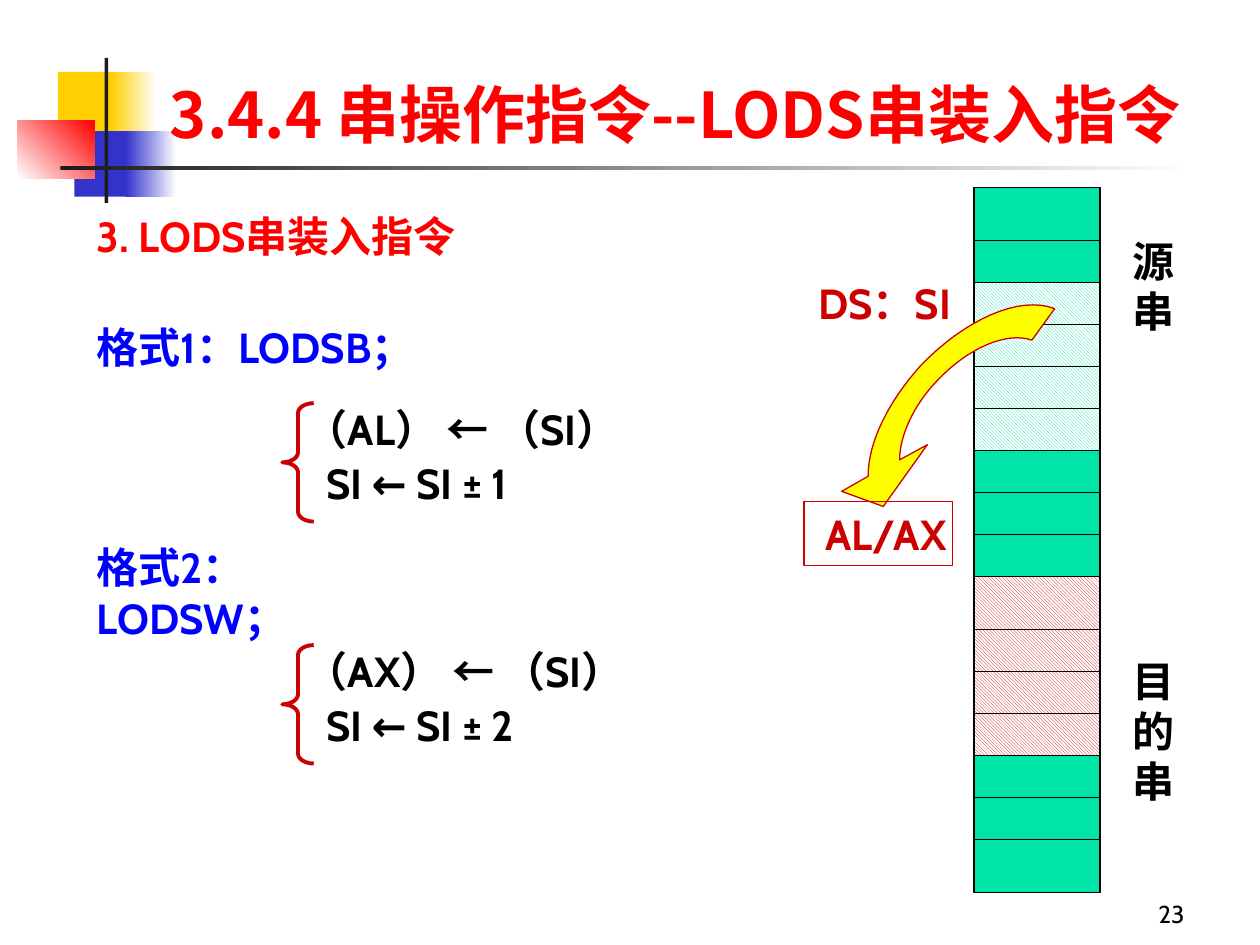
from dataclasses import dataclass
from itertools import accumulate

from lxml import etree
from pptx import Presentation
from pptx.dml.color import RGBColor
from pptx.enum.dml import MSO_PATTERN
from pptx.enum.shapes import MSO_CONNECTOR, MSO_SHAPE
from pptx.enum.text import MSO_ANCHOR, PP_ALIGN
from pptx.oxml.ns import qn
from pptx.util import Inches, Pt

RECTANGLE = MSO_SHAPE.RECTANGLE
LEFT_BRACE = MSO_SHAPE.LEFT_BRACE
STRAIGHT = MSO_CONNECTOR.STRAIGHT
HATCH = MSO_PATTERN.LIGHT_DOWNWARD_DIAGONAL
LEFT, CENTER, RIGHT = PP_ALIGN.LEFT, PP_ALIGN.CENTER, PP_ALIGN.RIGHT
TOP, BOTTOM = MSO_ANCHOR.TOP, MSO_ANCHOR.BOTTOM


@dataclass(frozen=True)
class Theme:
    latin: str = "Cabin"
    asian: str = "Noto Sans CJK JP"
    title_size: float = 36
    body_size: float = 24
    number_size: float = 14
    thin: float = 0.75
    thick: float = 2.25
    red: str = "FF0000"
    dark_red: str = "CC0000"
    blue: str = "0000FF"
    navy: str = "3333CC"
    gold: str = "FFCF01"
    yellow: str = "FFFF00"
    green: str = "00E4A8"
    ink: str = "1C1C1C"
    black: str = "000000"
    white: str = "FFFFFF"


THEME = Theme()


def rgb(color):
    return RGBColor.from_string(color)


def style(shape, fill=None, line=None, width=THEME.thin):
    """Solid fill and outline; None means no paint."""
    shape.shadow.inherit = False
    if fill:
        shape.fill.solid()
        shape.fill.fore_color.rgb = rgb(fill)
    else:
        shape.fill.background()
    if line:
        shape.line.color.rgb = rgb(line)
        shape.line.width = Pt(width)
    else:
        shape.line.fill.background()


def add_block(page, box, fill=None, line=None, width=THEME.thin, kind=RECTANGLE):
    shape = page.shapes.add_shape(kind, *map(Inches, box))
    style(shape, fill, line, width)
    return shape


def add_fade(page, box, start, end, angle=0):
    shape = add_block(page, box)
    shape.fill.gradient()
    shape.fill.gradient_angle = angle
    for stop, color in zip(shape.fill.gradient_stops, (start, end)):
        stop.color.rgb = rgb(color)


def add_hatch(page, box, color):
    shape = add_block(page, box, line=THEME.black)
    shape.fill.patterned()
    shape.fill.pattern = HATCH
    shape.fill.fore_color.rgb = rgb(color)
    shape.fill.back_color.rgb = rgb(THEME.white)


def add_text(page, box, lines, color, size=THEME.body_size, bold=True, align=LEFT,
             anchor=TOP, latin=THEME.latin, indents=(0,), wrap=True):
    frame = page.shapes.add_textbox(*map(Inches, box)).text_frame
    frame.word_wrap = wrap
    frame.vertical_anchor = anchor
    font_format = {"size": Pt(size), "bold": bold, "name": latin}
    for index, (line, indent) in enumerate(zip(lines, indents)):
        para = frame.add_paragraph() if index else frame.paragraphs[0]
        para.alignment = align
        if index:
            para.space_before = Pt(2.4)
        if indent:
            para._p.get_or_add_pPr().set("marL", str(Inches(indent)))
        span = para.add_run()
        span.text = line
        for name, value in font_format.items():
            setattr(span.font, name, value)
        span.font.color.rgb = rgb(color)
        asian = etree.SubElement(span._r.get_or_add_rPr(), qn("a:ea"))
        asian.set("typeface", THEME.asian)


def add_ornament(page, left, top):
    """Overlapping squares with the cross of rules."""
    add_block(page, (left + 0.32, top + 0.11, 0.48, 0.52), THEME.gold)
    add_fade(page, (left + 0.74, top + 0.11, 0.36, 0.52), THEME.gold, THEME.white)
    add_block(page, (left + 0.45, top + 0.58, 0.46, 0.52), THEME.navy)
    add_fade(page, (left + 0.86, top + 0.58, 0.4, 0.52), THEME.navy, THEME.white)
    add_fade(page, (left, top + 0.5, 0.61, 0.46), THEME.white, THEME.red, 45)
    add_block(page, (left + 0.69, top, 0.03, 1.15), THEME.ink)
    add_fade(page, (left + 0.34, top + 0.86, 9, 0.03), THEME.ink, THEME.white)


def add_operation(page, left, top, lines):
    """Two steps held by a brace."""
    add_text(page, (left + 0.09, top - 0.05, 3.2, 0.95), lines, THEME.black,
             indents=(0, 0.16))
    brace = add_block(page, (left, top, 0.25, 0.94), line=THEME.dark_red,
                      width=THEME.thick, kind=LEFT_BRACE)
    brace.adjustments[0] = 0.312


def add_memory(page, left, top, width):
    """Column of memory cells with its source and target strings."""
    tall, short = 0.42, 1 / 3
    heights = [tall if row in (0, 9, 15) else short for row in range(16)]
    edges = list(accumulate(heights, initial=top))
    add_block(page, (left, top, width, edges[-1] - top), THEME.green, THEME.black)
    for first, last, color in ((2, 6, THEME.green), (9, 13, THEME.dark_red)):
        add_hatch(page, (left, edges[first], width, edges[last] - edges[first]), color)
    for row, edge in enumerate(edges[1:-1], 1):
        if row == 13:  # lower edge of the target string
            continue
        rule = page.shapes.add_connector(
            STRAIGHT, *map(Inches, (left, edge, left + width, edge)))
        rule.line.color.rgb = rgb(THEME.black)
        rule.line.width = Pt(THEME.thin)
        etree.SubElement(rule._element.spPr, qn("a:effectLst"))
    add_text(page, (left - 1.42, top + 0.66, 1.42, 0.5), ["DS：SI"],
             THEME.dark_red, align=CENTER)
    for label, offset, height in (("源串", 0.33, 0.91), ("目的串", 3.66, 1.31)):
        add_text(page, (left + width + 0.16, top + offset, 0.5, height), [label],
                 THEME.black, align=CENTER)


def bezier(start, *controls, steps=16):
    """Points after start along a cubic curve."""
    for step in range(1, steps + 1):
        t = step / steps
        weights = ((1 - t) ** 3, 3 * t * (1 - t) ** 2, 3 * t * t * (1 - t), t ** 3)
        yield tuple(sum(weight * point[axis] for weight, point
                        in zip(weights, (start, *controls))) for axis in (0, 1))


def add_load_arrow(page, left, top):
    """Curved arrow from memory down to the register."""
    inner, middle, tail = (0.46, 1.2), (0.75, 0.58), (1.51, 0.25)
    corner, bend = (1.69, 0), (0.62, 0.46)
    points = [
        inner,
        *bezier(inner, (0.46, 1.01), (0.57, 0.77), middle),
        *bezier(middle, (1, 0.31), (1.31, 0.18), tail),
        corner,
        *bezier(corner, (1.41, -0.11), (0.97, 0.09), bend),
        *bezier(bend, (0.37, 0.74), (0.21, 1.06), (0.21, 1.33)),
        (0, 1.45), (0.33, 1.57), (0.68, 1.08),
    ]
    placed = [(Inches(left + x), Inches(top + y)) for x, y in points]
    builder = page.shapes.build_freeform(*placed[0])
    builder.add_line_segments(placed[1:], close=True)
    style(builder.convert_to_shape(), THEME.yellow, THEME.dark_red)


def add_register(page, left, top):
    add_block(page, (left, top, 1.18, 0.51), line=THEME.dark_red)
    add_text(page, (left - 0.06, top + 0.01, 1.42, 0.5), ["AL/AX"],
             THEME.dark_red, align=CENTER)


def main():
    deck = Presentation()
    deck.slide_width, deck.slide_height = Inches(10), Inches(7.5)
    page = deck.slides.add_slide(deck.slide_layouts[6])

    # Heading and page number
    add_ornament(page, 0.14, 0.46)
    add_text(page, (7.42, 6.92, 2.08, 0.5), ["23"], THEME.black, THEME.number_size,
             bold=False, align=RIGHT, anchor=BOTTOM)

    # Instruction formats
    add_text(page, (0.67, 1.62, 4.92, 0.5), ["3. LODS串装入指令"], THEME.red)
    add_text(page, (0.67, 2.5, 4.34, 0.5), ["格式1：LODSB；"], THEME.blue)
    add_text(page, (0.67, 4.25, 2.8, 0.9), ["格式2：LODSW；"], THEME.blue)
    add_operation(page, 2.24, 3.2, ["（AL） ← （SI）", "SI ← SI ± 1"])
    add_operation(page, 2.24, 5.12, ["（AX） ← （SI）", "SI ← SI ± 2"])

    # Memory and register
    add_memory(page, 7.73, 1.49, 1)
    add_load_arrow(page, 6.68, 2.45)
    add_register(page, 6.38, 3.98)

    # Title
    add_text(page, (0.9, 0.55, 9, 0.79), ["3.4.4 串操作指令--LODS串装入指令"], THEME.red,
             THEME.title_size, latin=THEME.asian, indents=(0.35,), wrap=False)

    deck.save("out.pptx")


if __name__ == "__main__":
    main()
